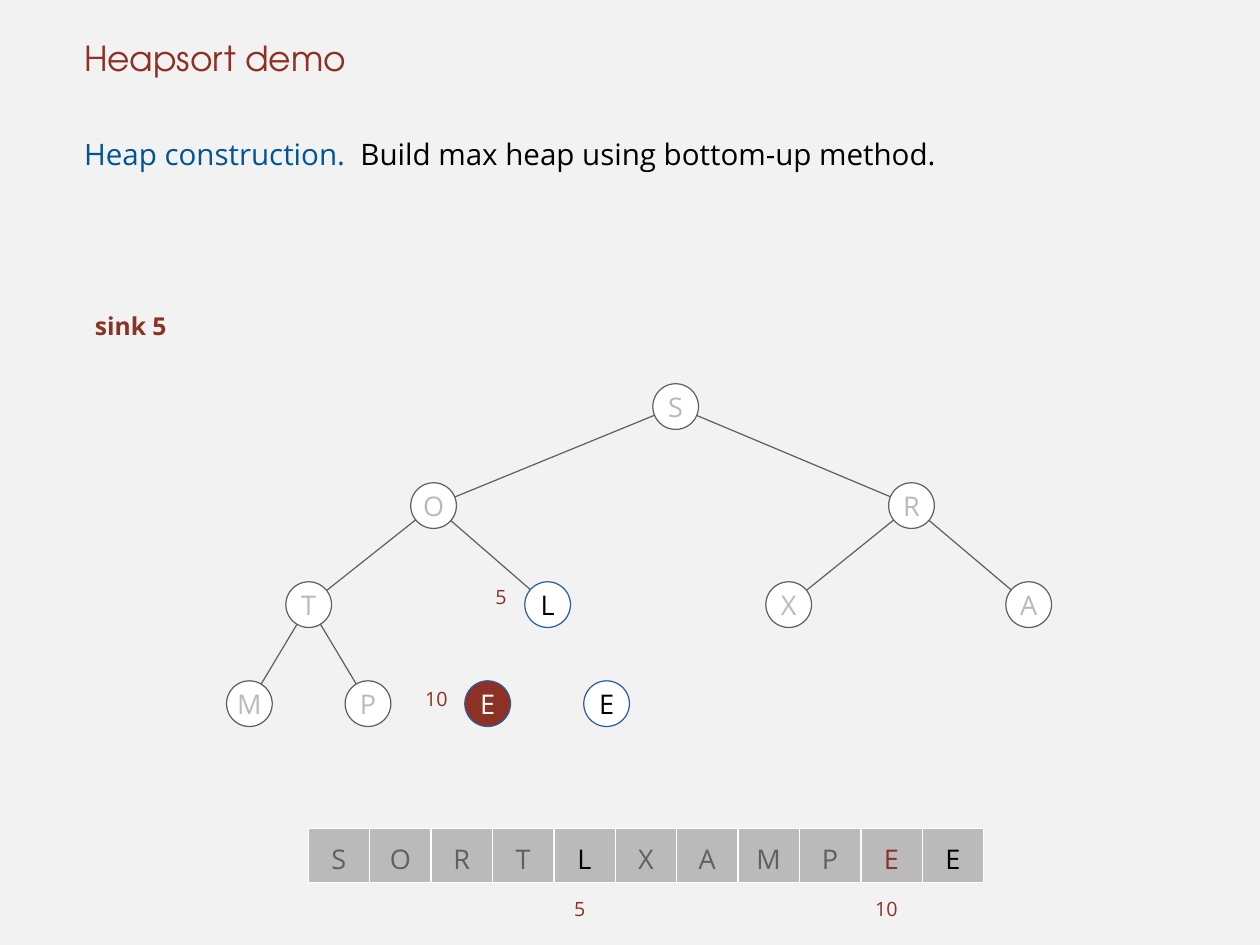
"""Build the heapsort demo slide showing the sink of node 5."""
import dataclasses
import typing

import lxml.etree
import pptx
import pptx.dml.color
import pptx.enum.shapes
import pptx.enum.text
import pptx.oxml.ns
import pptx.shapes.autoshape
import pptx.slide
import pptx.util

Cm = pptx.util.Cm
Align = pptx.enum.text.PP_ALIGN
Anchor = pptx.enum.text.MSO_ANCHOR
Preset = pptx.enum.shapes.MSO_SHAPE

COLORS = {
    "background": "F2F2F2", "red": "8D3124", "blue": "005493", "ring": "2A5CA0",
    "black": "000000", "white": "FFFFFF", "dark": "606060", "gray": "BABABA",
}
BODY_FONT = "Open Sans"
NODE_SIZE = 1.31
ROOT_Y = 11.66
LEVEL_GAP = 2.84
CELL_LEFT, CELL_TOP, CELL_PITCH, CELL_WIDTH, CELL_HEIGHT = 8.84, 23.75, 1.76, 1.75, 1.55


@dataclasses.dataclass
class Run:
    """A stretch of text with one format."""
    text: str
    color: str
    size: float = 22
    font: str = BODY_FONT
    bold: bool = False


@dataclasses.dataclass
class Node:
    """One key of the heap, in array order."""
    key: str
    x: float
    text: str = "gray"
    fill: str = "white"
    ring: str = "dark"
    cell_text: str = "dark"


@dataclasses.dataclass
class Label:
    """A free-standing piece of text."""
    run: Run
    left: float
    top: float
    width: float
    height: float = 0.91
    spacing: float = 1.0


NODES = [
    Node("S", 19.37), Node("O", 12.43), Node("R", 26.13), Node("T", 8.85),
    Node("L", 15.70, "black", ring="ring", cell_text="black"),
    Node("X", 22.61), Node("A", 29.49), Node("M", 7.15), Node("P", 10.55),
    Node("E", 13.98, "white", "red", "ring", "red"),
    Node("E", 17.39, "black", ring="ring", cell_text="black"),
]
SINKING = 5
LABELS = [
    Label(Run("sink 5", "red", 20, bold=True), 2.57, 8.92, 2.72, 1.09),
    Label(Run("5", "red", 16), 14.05, 16.76, 0.84),
    Label(Run("10", "red", 16), 12.04, 19.71, 1.19),
    Label(Run("5", "red", 16), 16.31, 25.37, 0.84, spacing=1.5),
    Label(Run("10", "red", 16), 24.94, 25.37, 1.19, spacing=1.5),
]


def rgb(name: str) -> pptx.dml.color.RGBColor:
    """Look up a named colour."""
    return pptx.dml.color.RGBColor.from_string(COLORS[name])


def set_values(target: typing.Any, values: dict[str, typing.Any]) -> None:
    """Set every attribute listed in a dict."""
    for name, value in values.items():
        setattr(target, name, value)


def write(shape: typing.Any, runs: list[Run], spacing: typing.Any = 1.0, indent: float = 0.15,
          align: Align = Align.LEFT, anchor: Anchor = Anchor.TOP) -> None:
    """Fill a shape with one paragraph of formatted runs."""
    set_values(shape.text_frame, {
        "word_wrap": True, "auto_size": pptx.enum.text.MSO_AUTO_SIZE.NONE,
        "vertical_anchor": anchor, "margin_left": Cm(indent),
        "margin_right": 0, "margin_top": 0, "margin_bottom": 0,
    })
    paragraph = shape.text_frame.paragraphs[0]
    set_values(paragraph, {"alignment": align, "line_spacing": spacing})
    for item in runs:
        run = paragraph.add_run()
        run.text = item.text
        set_values(run.font, {"name": item.font, "size": pptx.util.Pt(item.size), "bold": item.bold})
        run.font.color.rgb = rgb(item.color)


def add_box(slide: pptx.slide.Slide, preset: Preset, bounds: tuple[float, float, float, float],
            fill: str, line: str, line_width: float) -> pptx.shapes.autoshape.Shape:
    """Add a filled and outlined shape without shadow."""
    shape = slide.shapes.add_shape(preset, *map(Cm, bounds))
    shape.shadow.inherit = False
    shape.fill.solid()
    shape.fill.fore_color.rgb = rgb(fill)
    shape.line.color.rgb = rgb(line)
    shape.line.width = pptx.util.Pt(line_width)
    return shape


def node_center(number: int) -> tuple[float, float]:
    """Give the centre of a node from its position in the heap."""
    return NODES[number - 1].x, ROOT_Y + (number.bit_length() - 1) * LEVEL_GAP


def add_edge(slide: pptx.slide.Slide, parent: int, child: int) -> None:
    """Draw the line from a parent to its child."""
    connector = slide.shapes.add_connector(
        pptx.enum.shapes.MSO_CONNECTOR.STRAIGHT,
        *map(Cm, node_center(parent) + node_center(child)))
    connector.line.color.rgb = rgb("dark")
    connector.line.width = pptx.util.Pt(1)
    properties = connector.element.find(pptx.oxml.ns.qn("p:spPr"))
    lxml.etree.SubElement(properties, pptx.oxml.ns.qn("a:effectLst"))


def add_node(slide: pptx.slide.Slide, number: int, node: Node) -> None:
    """Draw one tree node."""
    x, y = node_center(number)
    bounds = (x - NODE_SIZE / 2, y - NODE_SIZE / 2, NODE_SIZE, NODE_SIZE)
    shape = add_box(slide, Preset.OVAL, bounds, node.fill, node.ring, 1)
    write(shape, [Run(node.key, node.text)], indent=0, align=Align.CENTER, anchor=Anchor.MIDDLE)


def add_cell(slide: pptx.slide.Slide, number: int, node: Node) -> None:
    """Draw one cell of the array."""
    bounds = (CELL_LEFT + (number - 1) * CELL_PITCH, CELL_TOP, CELL_WIDTH, CELL_HEIGHT)
    shape = add_box(slide, Preset.RECTANGLE, bounds, "gray", "white", 0.5)
    write(shape, [Run(node.key, node.cell_text)], 1.2, 0, Align.CENTER, Anchor.MIDDLE)


def add_headings(slide: pptx.slide.Slide) -> None:
    """Write the title and the sentence below it."""
    title = slide.shapes.title
    set_values(title, {"left": Cm(2.26), "top": Cm(0), "width": Cm(31.6), "height": Cm(2.26)})
    write(title, [Run("Heapsort demo", "red", 28, "TeX Gyre Adventor")], anchor=Anchor.BOTTOM)
    sentence = slide.shapes.add_textbox(Cm(2.26), Cm(3.53), Cm(31.6), Cm(1.5))
    write(sentence, [Run("Heap construction.  ", "blue", 24),
                     Run("Build max heap using bottom-up method.", "black", 24)],
          pptx.util.Pt(39))


def main() -> None:
    """Build and save the presentation."""
    presentation = pptx.Presentation()
    set_values(presentation, {"slide_width": Cm(36.12), "slide_height": Cm(27.1)})
    slide = presentation.slides.add_slide(presentation.slide_layouts[5])
    slide.background.fill.solid()
    slide.background.fill.fore_color.rgb = rgb("background")
    add_headings(slide)
    for child in range(2, len(NODES) + 1):
        if child // 2 != SINKING:
            add_edge(slide, child // 2, child)
    for draw in (add_node, add_cell):
        for number, node in enumerate(NODES, start=1):
            draw(slide, number, node)
    for label in LABELS:
        box = slide.shapes.add_textbox(*map(Cm, (label.left, label.top, label.width, label.height)))
        write(box, [label.run], label.spacing)
    presentation.save("out.pptx")


if __name__ == "__main__":
    main()
